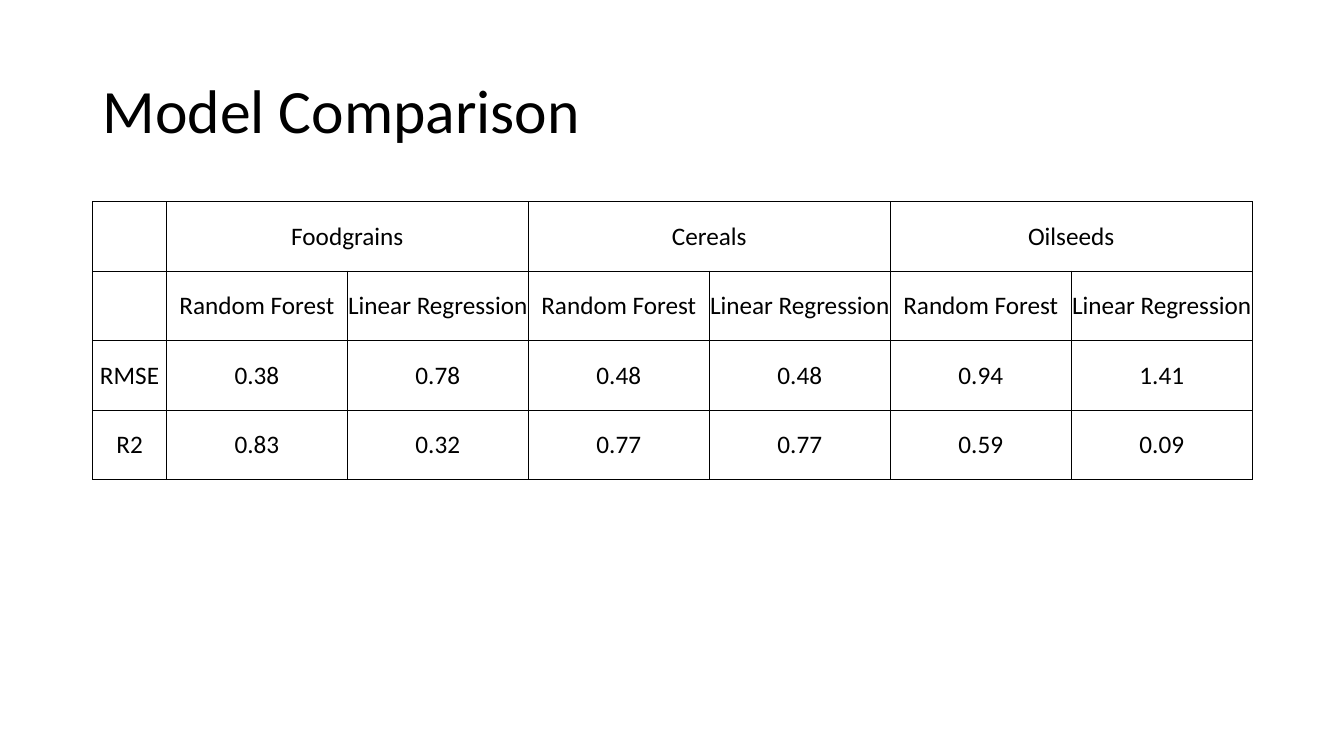
"""Build the model comparison slide with its table of scores per crop."""
from lxml.etree import SubElement as Sub
from pptx import Presentation
from pptx.dml.color import RGBColor
from pptx.enum.text import MSO_ANCHOR as Anchor, PP_ALIGN as Align
from pptx.oxml.ns import qn
from pptx.util import Inches, Pt

INK, PAPER = "000000", "FFFFFF"
LEFT, WIDE = 0.92, 11.5
HEAD, ROW = 0.73, 0.69
COL = (WIDE - HEAD) / 6


def tint(code):
    return RGBColor.from_string(code)


def style(para, size):
    for run in para.runs:
        run.font.name = "Calibri"
        run.font.size = Pt(size)
        run.font.bold = False
        run.font.color.rgb = tint(INK)


deck = Presentation()
deck.slide_width, deck.slide_height = Inches(13.33), Inches(7.5)
slide = deck.slides.add_slide(deck.slide_layouts[6])

title = slide.shapes.add_textbox(Inches(LEFT), Inches(0.4), Inches(WIDE), Inches(1.45))
frame = title.text_frame
frame.word_wrap = True
frame.vertical_anchor = Anchor.MIDDLE
frame.text = "Model Comparison"
frame.paragraphs[0].line_spacing = 0.9
style(frame.paragraphs[0], 44)

crops = ["Foodgrains", "Cereals", "Oilseeds"]
rows = [
    [""] + [text for crop in crops for text in (crop, "")],
    [""] + ["Random Forest", "Linear Regression"] * len(crops),
    ["RMSE", "0.38", "0.78", "0.48", "0.48", "0.94", "1.41"],
    ["R2", "0.83", "0.32", "0.77", "0.77", "0.59", "0.09"],
]
table = slide.shapes.add_table(
    len(rows), len(rows[0]), Inches(LEFT), Inches(2), Inches(WIDE), Inches(ROW * len(rows))
).table
table.first_row = table.horz_banding = False
for i, col in enumerate(table.columns):
    col.width = Inches(COL if i else HEAD)

for r, texts in enumerate(rows):
    table.rows[r].height = Inches(ROW)
    for c, text in enumerate(texts):
        cell = table.cell(r, c)
        cell.margin_left = cell.margin_right = cell.margin_top = cell.margin_bottom = 0
        cell.vertical_anchor = Anchor.MIDDLE
        cell.text_frame.text = text
        para = cell.text_frame.paragraphs[0]
        para.alignment = Align.CENTER
        style(para, 18)
        props = cell._tc.get_or_add_tcPr()
        for side in ("a:lnL", "a:lnR", "a:lnT", "a:lnB"):
            line = Sub(props, qn(side), w=str(Pt(1)))
            Sub(Sub(line, qn("a:solidFill")), qn("a:srgbClr"), val=INK)
        cell.fill.solid()
        cell.fill.fore_color.rgb = tint(PAPER)

for c in range(1, len(rows[0]), 2):
    table.cell(0, c).merge(table.cell(0, c + 1))

deck.save("out.pptx")
